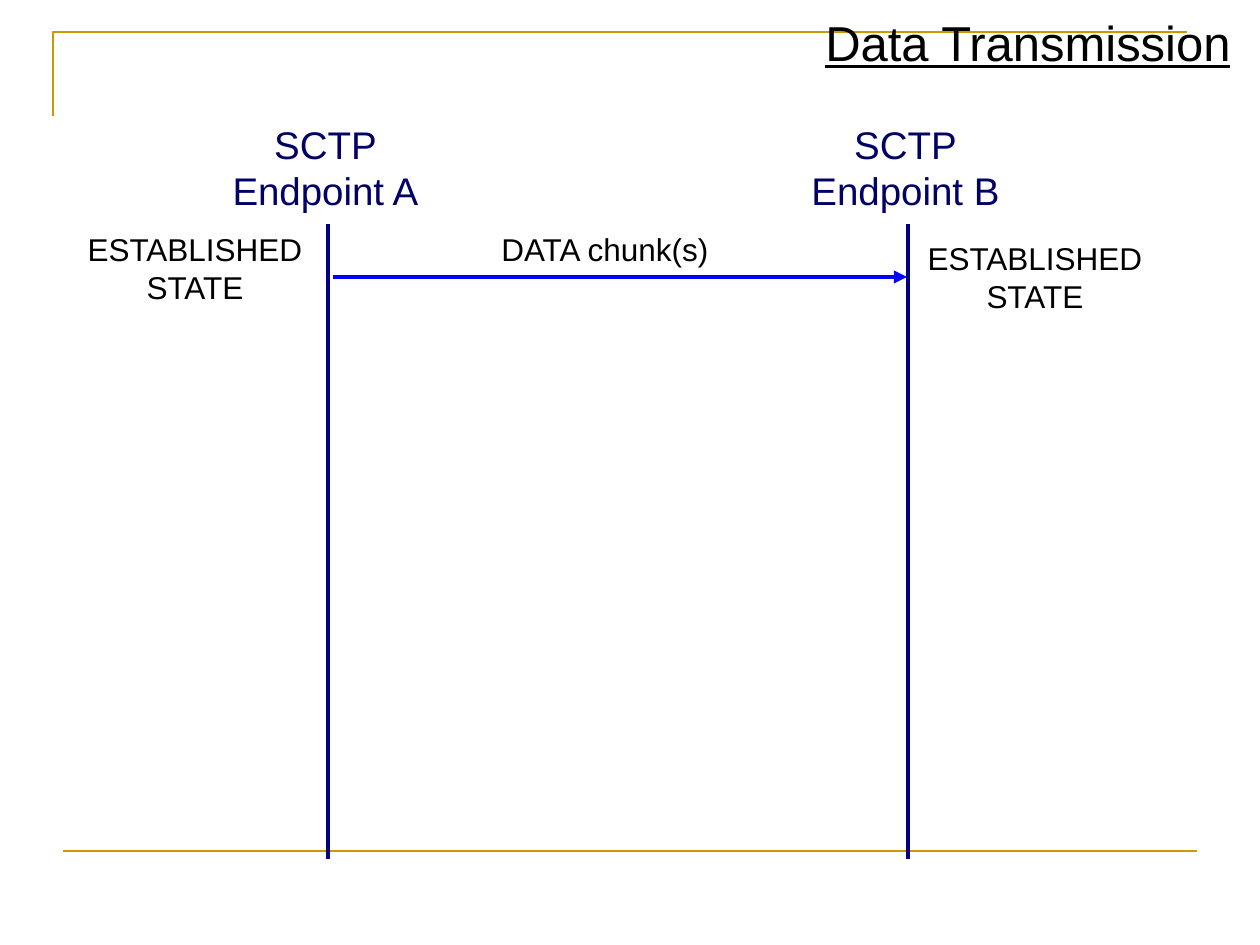
from pptx import Presentation
from pptx.dml.color import RGBColor
from pptx.enum.shapes import MSO_CONNECTOR
from pptx.enum.text import MSO_ANCHOR, MSO_AUTO_SIZE, PP_ALIGN
from pptx.oxml.ns import qn
from pptx.util import Emu, Pt
from lxml import etree

CENTER, RIGHT = PP_ALIGN.CENTER, PP_ALIGN.RIGHT
TOP = MSO_ANCHOR.TOP
NO_AUTOSIZE = MSO_AUTO_SIZE.NONE
STRAIGHT = MSO_CONNECTOR.STRAIGHT

EMU_PER_PX = 914400 / 126
TITLE_ONLY = 5
FONT = "Arial"

BLACK = RGBColor(0x00, 0x00, 0x00)
GOLD = RGBColor(0xCC, 0x99, 0x00)
NAVY = RGBColor(0x00, 0x00, 0x80)
DARK_NAVY = RGBColor(0x00, 0x00, 0x66)
BLUE = RGBColor(0x00, 0x00, 0xFF)

LIFELINE_TOP, LIFELINE_BOTTOM = 224, 859
ENDPOINTS = [("A", 328), ("B", 908)]
STATES = [(74, 224), (914, 233)]


def px(length):
    """Turn a length in pixels into EMU."""
    return Emu(round(length * EMU_PER_PX))


def write_text(shape, text, size=18, color=BLACK, align=CENTER, underline=None):
    """Write one paragraph per line of text, all in the same format."""
    frame = shape.text_frame
    frame.auto_size = NO_AUTOSIZE
    frame.word_wrap = False
    frame.vertical_anchor = TOP
    frame.text = text
    for paragraph in frame.paragraphs:
        paragraph.alignment = align
        font = paragraph.runs[0].font
        font.name, font.size, font.underline = FONT, Pt(size), underline
        font.color.rgb = color


def add_label(slide, text, left, top, width, height, **text_format):
    """Add a text box holding a formatted label."""
    label = slide.shapes.add_textbox(px(left), px(top), px(width), px(height))
    write_text(label, text, **text_format)


def add_line(slide, start, end, color, width=2.5, arrow=False):
    """Draw a straight line, with an arrowhead at its end if asked."""
    line = slide.shapes.add_connector(STRAIGHT, *map(px, start + end))
    line.line.color.rgb = color
    line.line.width = Pt(width)
    if arrow:
        etree.SubElement(line.line._get_or_add_ln(), qn("a:tailEnd"), type="triangle")
    etree.SubElement(line._element.spPr, qn("a:effectLst"))


def add_frame(slide):
    """Draw the gold corner and the gold rule at the foot."""
    builder = slide.shapes.build_freeform(53, 116, scale=EMU_PER_PX)
    builder.add_line_segments([(53, 32), (1187, 32)], close=False)
    corner = builder.convert_to_shape()
    corner.fill.background()
    corner.line.color.rgb = GOLD
    corner.line.width = Pt(1.5)
    corner.shadow.inherit = False
    add_line(slide, (63, 851), (1197, 851), GOLD, width=1.5)


def add_endpoint(slide, letter, x):
    """Draw an endpoint's lifeline with its name above."""
    add_line(slide, (x, LIFELINE_TOP), (x, LIFELINE_BOTTOM), NAVY)
    add_label(slide, f"SCTP\nEndpoint {letter}", x - 109, 115, 213, 106,
              size=22, color=DARK_NAVY)


def add_title(slide):
    """Place the title in front of the frame."""
    title = slide.shapes.title
    title.left, title.top, title.width, title.height = map(px, (811, 6, 432, 72))
    write_text(title, "Data Transmission", size=28, align=RIGHT, underline=True)
    title._element.getparent().append(title._element)


def main():
    """Build the slide and save it."""
    presentation = Presentation()
    presentation.slide_width, presentation.slide_height = px(1260), px(945)
    slide = presentation.slides.add_slide(presentation.slide_layouts[TITLE_ONLY])
    add_frame(slide)
    add_line(slide, (333, 277), (907, 277), BLUE, arrow=True)
    add_label(slide, "DATA chunk(s)", 486, 224, 238, 50)
    for letter, x in ENDPOINTS:
        add_endpoint(slide, letter, x)
    add_title(slide)
    for left, top in STATES:
        add_label(slide, "ESTABLISHED\nSTATE", left, top, 242, 88)
    presentation.save("out.pptx")


if __name__ == "__main__":
    main()
